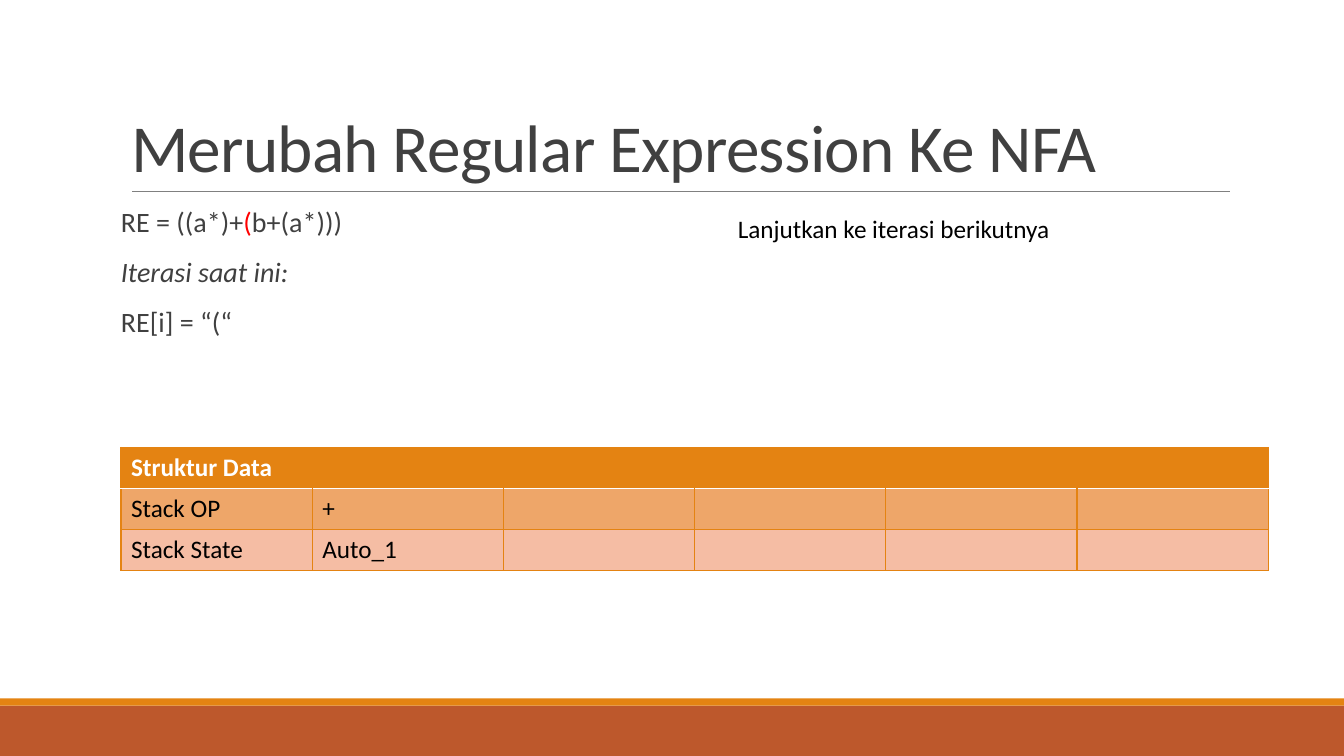
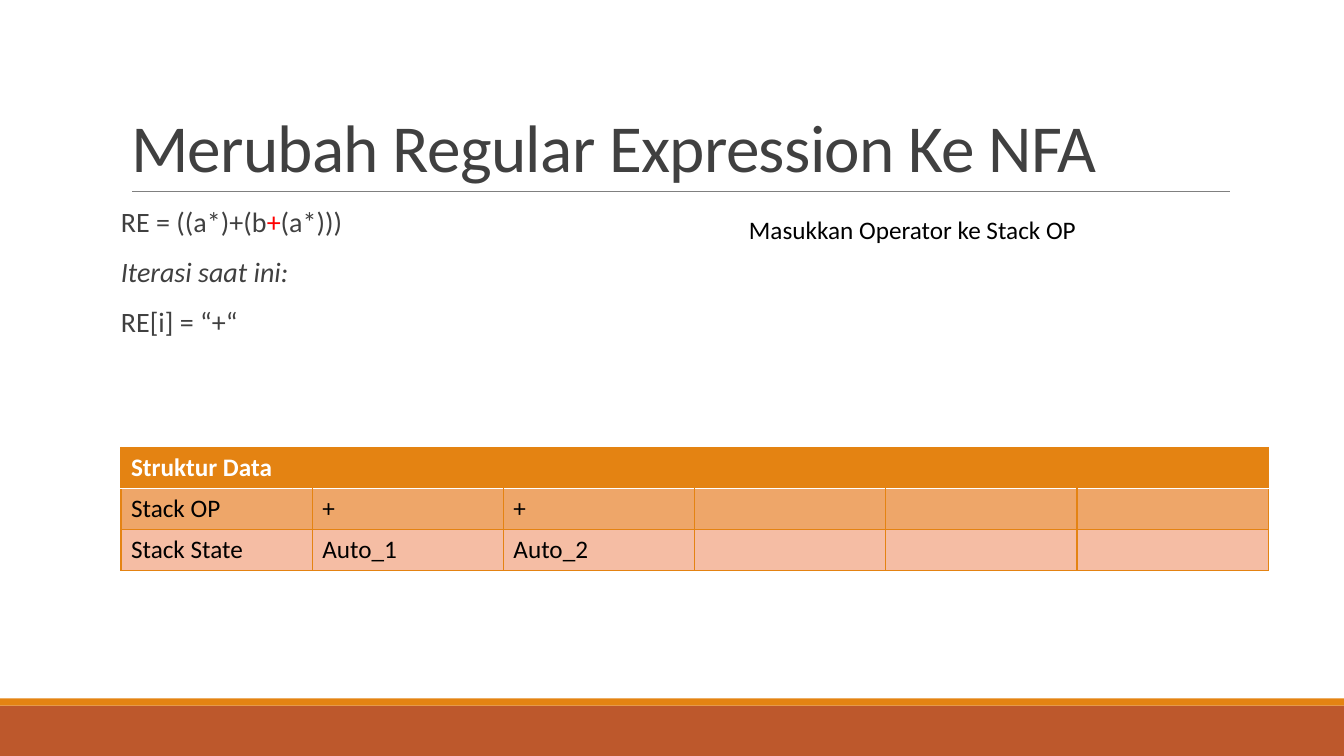
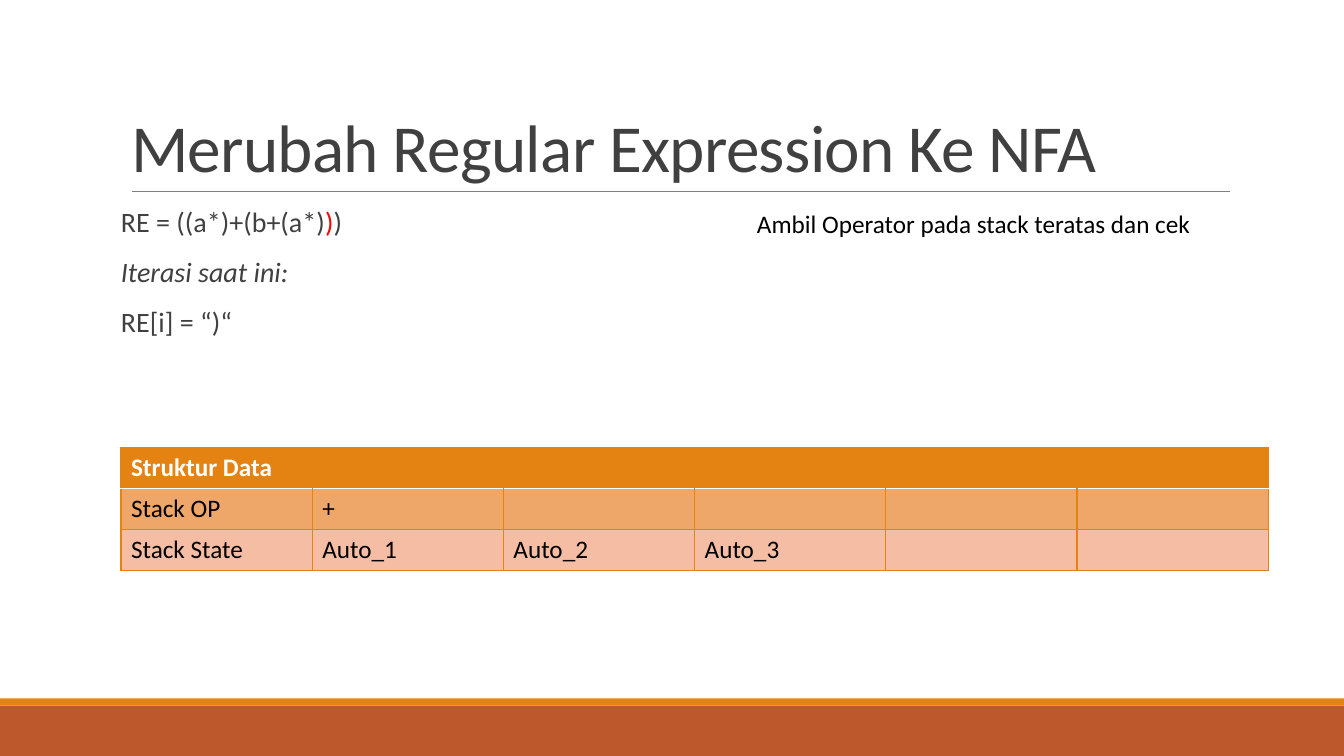
from dataclasses import dataclass

from lxml import etree
from pptx import Presentation
from pptx.dml.color import RGBColor
from pptx.enum import shapes, text
from pptx.oxml import ns
from pptx.util import Emu, Inches, Pt


@dataclass(frozen=True)
class Theme:
    font: str = "Calibri"
    ink: str = "404040"
    black: str = "000000"
    white: str = "FFFFFF"
    red: str = "FF0000"
    gray: str = "808080"
    rust: str = "BD582C"
    orange: str = "E48312"
    amber: str = "EEA669"
    peach: str = "F5BDA4"
    head: int = 48
    body: int = 20
    small: int = 18


@dataclass(frozen=True)
class Band:
    top: float
    height: float
    color: str


@dataclass(frozen=True)
class Step:
    before: str
    mark: str
    after: str
    note: str
    left: float
    top: float
    width: float
    ops: tuple[str, ...]
    states: tuple[str, ...]


T = Theme()
TITLE = "Merubah Regular Expression Ke NFA"
WIDE, TALL = 13.33, 7.5
LEFT = 1.2
COLS = 6
BANDS = (Band(7, 0.5, T.rust), Band(6.93, 0.07, T.orange))
STEPS = (
    Step("((a*)+", "(", "b+(a*)))", "Lanjutkan ke iterasi berikutnya",
         7.22, 2.07, 3.33, ("+",), ("Auto_1",)),
    Step("((a*)+(b", "+", "(a*)))", "Masukkan Operator ke Stack OP",
         7.33, 2.08, 3.48, ("+", "+"), ("Auto_1", "Auto_2")),
    Step("((a*)+(b+(a*)", ")", ")", "Ambil Operator pada stack teratas dan cek",
         7.41, 2.02, 4.54, ("+",), ("Auto_1", "Auto_2", "Auto_3")),
)


def rgb(color: str) -> RGBColor:
    return RGBColor.from_string(color)


def style(font, size: int, color: str, bold: bool = False) -> None:
    font.name, font.size, font.bold = T.font, Pt(size), bold
    font.color.rgb = rgb(color)


def place(shape, left: float, top: float, width: float, height: float) -> None:
    shape.left, shape.top = Inches(left), Inches(top)
    shape.width, shape.height = Inches(width), Inches(height)


def add_frame(slide) -> None:
    """Draw the bottom bands and the rule under the title."""
    for band in BANDS:
        bar = slide.shapes.add_shape(
            shapes.MSO_SHAPE.RECTANGLE, Inches(0), Inches(band.top),
            Inches(WIDE), Inches(band.height))
        bar.shadow.inherit = False
        bar.fill.solid()
        bar.fill.fore_color.rgb = rgb(band.color)
        bar.line.fill.background()
    rule = slide.shapes.add_connector(
        shapes.MSO_CONNECTOR.STRAIGHT, Inches(1.31), Inches(1.9),
        Inches(12.2), Inches(1.9))
    rule.line.color.rgb = rgb(T.gray)
    rule.line.width = Pt(0.5)
    etree.SubElement(rule._element.spPr, ns.qn("a:effectLst"))


def add_title(slide) -> None:
    title = slide.shapes.title
    place(title, LEFT, 0.31, 11, 1.59)
    frame = title.text_frame
    frame.auto_size = text.MSO_AUTO_SIZE.NONE
    frame.vertical_anchor = text.MSO_ANCHOR.BOTTOM
    para = frame.paragraphs[0]
    para.alignment = text.PP_ALIGN.LEFT
    para.line_spacing = 0.85
    style(para.font, T.head, T.ink)
    run = para.add_run()
    run.text = TITLE
    run._r.get_or_add_rPr().set("spc", "-50")


def add_body(slide, step: Step) -> None:
    box = slide.shapes.add_textbox(
        Inches(LEFT), Inches(2.02), Inches(11), Inches(4.4))
    frame = box.text_frame
    frame.word_wrap = True
    frame.margin_left = frame.margin_right = Inches(0)
    lines = (
        ("RE = " + step.before, step.mark, step.after),
        ("Iterasi saat ini:",),
        (f"RE[i] = “{step.mark}“",),
    )
    for i, parts in enumerate(lines):
        para = frame.add_paragraph() if i else frame.paragraphs[0]
        para.line_spacing = 0.9
        para.space_before, para.space_after = Pt(12), Pt(2)
        style(para.font, T.body, T.ink)
        for part in parts:
            para.add_run().text = part
    first, label = frame.paragraphs[:2]
    first.runs[1].font.color.rgb = rgb(T.red)
    label.font.italic = True


def add_note(slide, step: Step) -> None:
    box = slide.shapes.add_textbox(
        Inches(step.left), Inches(step.top), Inches(step.width), Inches(0.4))
    frame = box.text_frame
    frame.word_wrap = False
    frame.auto_size = text.MSO_AUTO_SIZE.SHAPE_TO_FIT_TEXT
    para = frame.paragraphs[0]
    para.text = step.note
    style(para.font, T.small, T.black)


def edge(cell, side: str, color: str | None, width: float) -> None:
    """Set one cell border; no colour means no line."""
    line = etree.SubElement(
        cell._tc.get_or_add_tcPr(), ns.qn("a:ln" + side), w=str(Pt(width)))
    if color is None:
        etree.SubElement(line, ns.qn("a:noFill"))
        return
    fill = etree.SubElement(line, ns.qn("a:solidFill"))
    etree.SubElement(fill, ns.qn("a:srgbClr"), val=color)


def add_edges(cell, row: int, col: int) -> None:
    for side in "LRTB":
        inner = (side == "L" and col > 0) or (side == "R" and col < COLS - 1)
        if row == 0 and inner:
            edge(cell, side, None, 1)
        elif (row, side) in ((0, "B"), (1, "T")):
            # White seam between the header and the first stack
            edge(cell, side, T.white, 1.25)
        else:
            edge(cell, side, T.orange, 1)


def add_stacks(slide, step: Step) -> None:
    """Draw the table of both stacks."""
    rows = (
        (("Struktur Data",), T.orange, T.white),
        (("Stack OP", *step.ops), T.amber, T.black),
        (("Stack State", *step.states), T.peach, T.black),
    )
    holder = slide.shapes.add_table(
        len(rows), COLS, Inches(LEFT), Inches(4.44), Inches(11.38), Inches(1.22))
    table = holder.table
    for col in table.columns:
        col.width = Emu(Inches(11.38) // COLS)
    for r, (words, fill, ink) in enumerate(rows):
        table.rows[r].height = Emu(Inches(1.22) // len(rows))
        for c in range(COLS):
            cell = table.cell(r, c)
            add_edges(cell, r, c)
            cell.fill.solid()
            cell.fill.fore_color.rgb = rgb(fill)
            para = cell.text_frame.paragraphs[0]
            style(para.font, T.small, ink, bold=r == 0)
            if c < len(words):
                para.text = words[c]


def main() -> None:
    deck = Presentation()
    deck.slide_width, deck.slide_height = Inches(WIDE), Inches(TALL)
    layout = deck.slide_layouts.get_by_name("Title Only")
    for step in STEPS:
        slide = deck.slides.add_slide(layout)
        add_frame(slide)
        add_title(slide)
        add_body(slide, step)
        add_stacks(slide, step)
        add_note(slide, step)
    deck.save("out.pptx")


if __name__ == "__main__":
    main()
